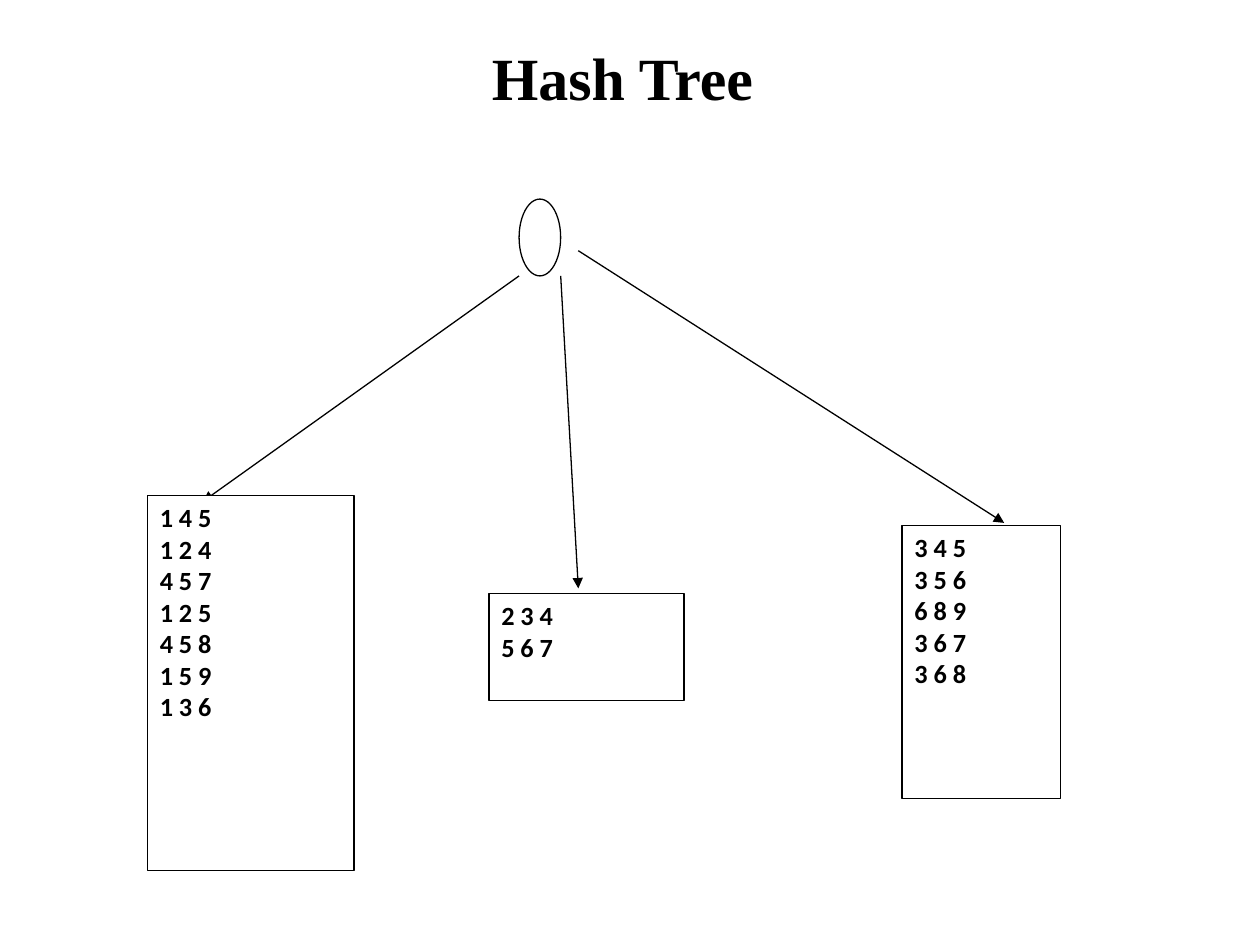
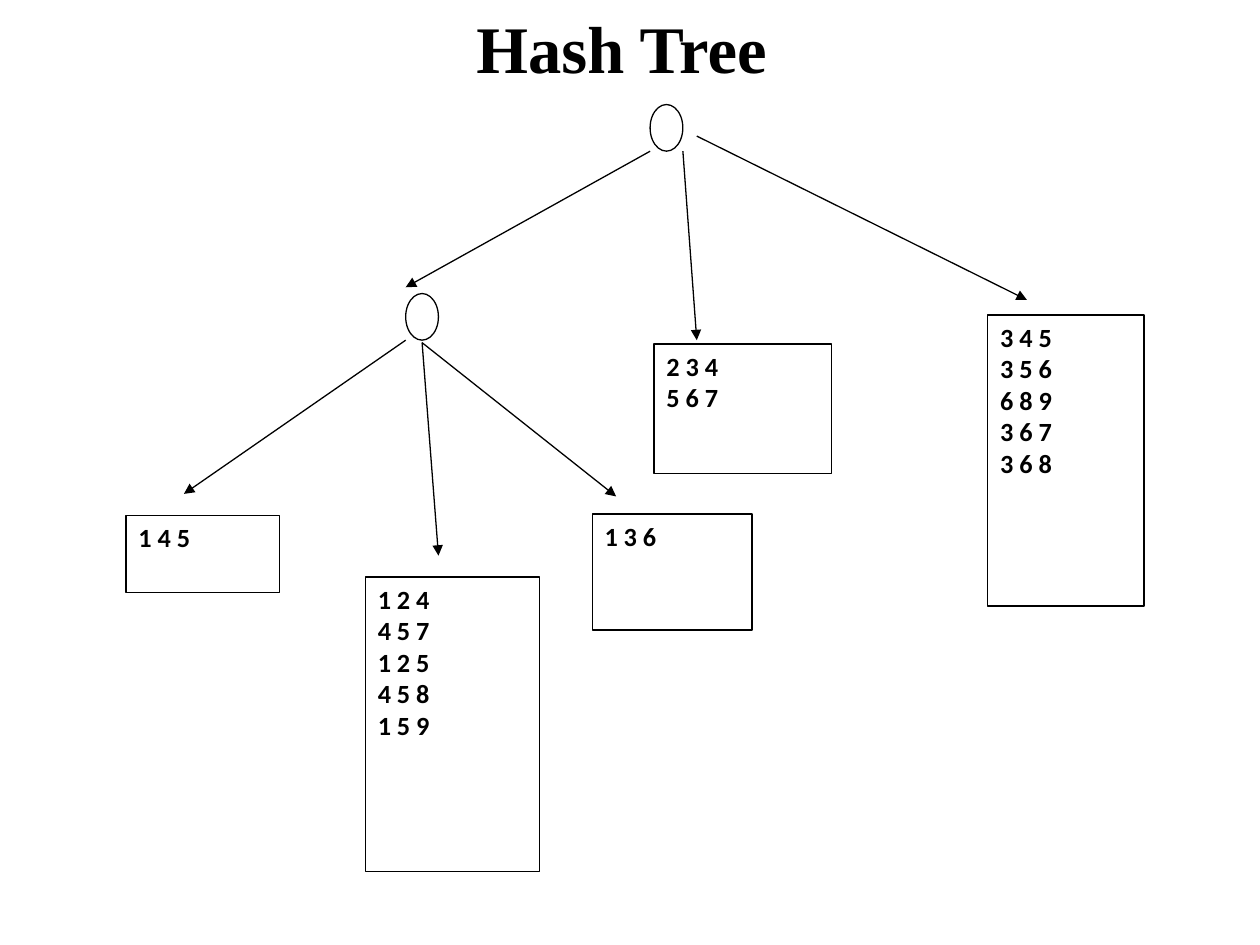
"""Build two slides that show a hash tree before and after its first split."""
from dataclasses import dataclass

from lxml.etree import SubElement
from pptx import Presentation
from pptx.dml.color import RGBColor
from pptx.enum.shapes import MSO_CONNECTOR, MSO_SHAPE
from pptx.enum.text import MSO_ANCHOR, PP_ALIGN
from pptx.oxml.ns import qn
from pptx.util import Inches, Pt


@dataclass(frozen=True)
class Theme:
    ink: RGBColor = RGBColor(0, 0, 0)
    paper: RGBColor = RGBColor(255, 255, 255)
    title_font: str = "Times New Roman"
    body_font: str = "Calibri"
    body_size: float = 15
    line_width: float = 0.75


theme = Theme()
COLUMNS, ROWS = 100, 75

middle_bucket = ["2 3 4", "5 6 7"]
right_bucket = ["3 4 5", "3 5 6", "6 8 9", "3 6 7", "3 6 8"]

trees = [
    {
        "title_area": (5, 3, 90, 6.2),
        "title_size": 34.2,
        "nodes": [(41.2, 15.8, 3.3, 6.1)],
        "arrows": [
            (41.2, 21.9, 16.1, 39.8),
            (44.5, 21.9, 45.9, 46.7),
            (45.9, 19.9, 79.7, 41.5),
        ],
        "buckets": [
            ((11.7, 39.3, 16.4, 29.8),
             ["1 4 5", "1 2 4", "4 5 7", "1 2 5", "4 5 8", "1 5 9", "1 3 6"]),
            ((38.8, 47.1, 15.5, 8.5), middle_bucket),
            ((71.6, 41.7, 12.6, 21.7), right_bucket),
        ],
    },
    {
        "title_area": (5, -2.5, 90, 12.5),
        "title_size": 38,
        "nodes": [(51.6, 8.3, 2.6, 3.7), (32.2, 23.3, 2.6, 3.7)],
        "arrows": [
            (51.6, 12, 32.2, 22.8),
            (54.2, 12, 55.3, 27),
            (55.3, 10.8, 81.5, 23.8),
            (32.2, 27, 14.6, 39.2),
            (33.5, 27.2, 34.8, 44.1),
            (33.5, 27.2, 48.9, 39.4),
        ],
        "buckets": [
            ((51.9, 27.3, 14.1, 10.3), middle_bucket),
            ((78.4, 25, 12.4, 23.1), right_bucket),
            ((10, 40.9, 12.2, 6.1), ["1 4 5"]),
            ((29, 45.8, 13.8, 23.4),
             ["1 2 4", "4 5 7", "1 2 5", "4 5 8", "1 5 9"]),
            ((47, 40.8, 12.7, 9.2), ["1 3 6"]),
        ],
    },
]

presentation = Presentation()
presentation.slide_width = Inches(10)
presentation.slide_height = Inches(7.5)
column = presentation.slide_width / COLUMNS
row = presentation.slide_height / ROWS


def on_grid(area):
    """Turn alternating columns and rows into slide lengths."""
    return [round(value * unit) for value, unit in zip(area, (column, row) * 2)]


def write_lines(shape, lines, font_name, size, alignment, anchor):
    """Fill a shape with bold paragraphs."""
    text_frame = shape.text_frame
    text_frame.word_wrap = True
    text_frame.vertical_anchor = anchor
    text_frame.text = "\n".join(lines)
    for paragraph in text_frame.paragraphs:
        paragraph.alignment = alignment
        for run in paragraph.runs:
            run.font.name = font_name
            run.font.size = Pt(size)
            run.font.bold = True
            run.font.color.rgb = theme.ink


for tree in trees:
    slide = presentation.slides.add_slide(presentation.slide_layouts[6])
    slide.background.fill.solid()
    slide.background.fill.fore_color.rgb = theme.paper

    title = slide.shapes.add_textbox(*on_grid(tree["title_area"]))
    write_lines(title, ["Hash Tree "], theme.title_font, tree["title_size"],
                PP_ALIGN.CENTER, MSO_ANCHOR.MIDDLE)

    outlined = [
        slide.shapes.add_shape(MSO_SHAPE.FLOWCHART_CONNECTOR, *on_grid(area))
        for area in tree["nodes"]
    ]

    for ends in tree["arrows"]:
        arrow = slide.shapes.add_connector(MSO_CONNECTOR.STRAIGHT, *on_grid(ends))
        arrow.line.color.rgb = theme.ink
        arrow.line.width = Pt(theme.line_width)
        properties = arrow.element.spPr
        SubElement(properties.find(qn("a:ln")), qn("a:tailEnd"), type="triangle")
        SubElement(properties, qn("a:effectLst"))

    for area, itemsets in tree["buckets"]:
        bucket = slide.shapes.add_shape(MSO_SHAPE.RECTANGLE, *on_grid(area))
        write_lines(bucket, itemsets, theme.body_font, theme.body_size,
                    PP_ALIGN.LEFT, MSO_ANCHOR.TOP)
        outlined.append(bucket)

    for shape in outlined:
        shape.shadow.inherit = False
        shape.fill.solid()
        shape.fill.fore_color.rgb = theme.paper
        shape.line.color.rgb = theme.ink
        shape.line.width = Pt(theme.line_width)

presentation.save("out.pptx")
